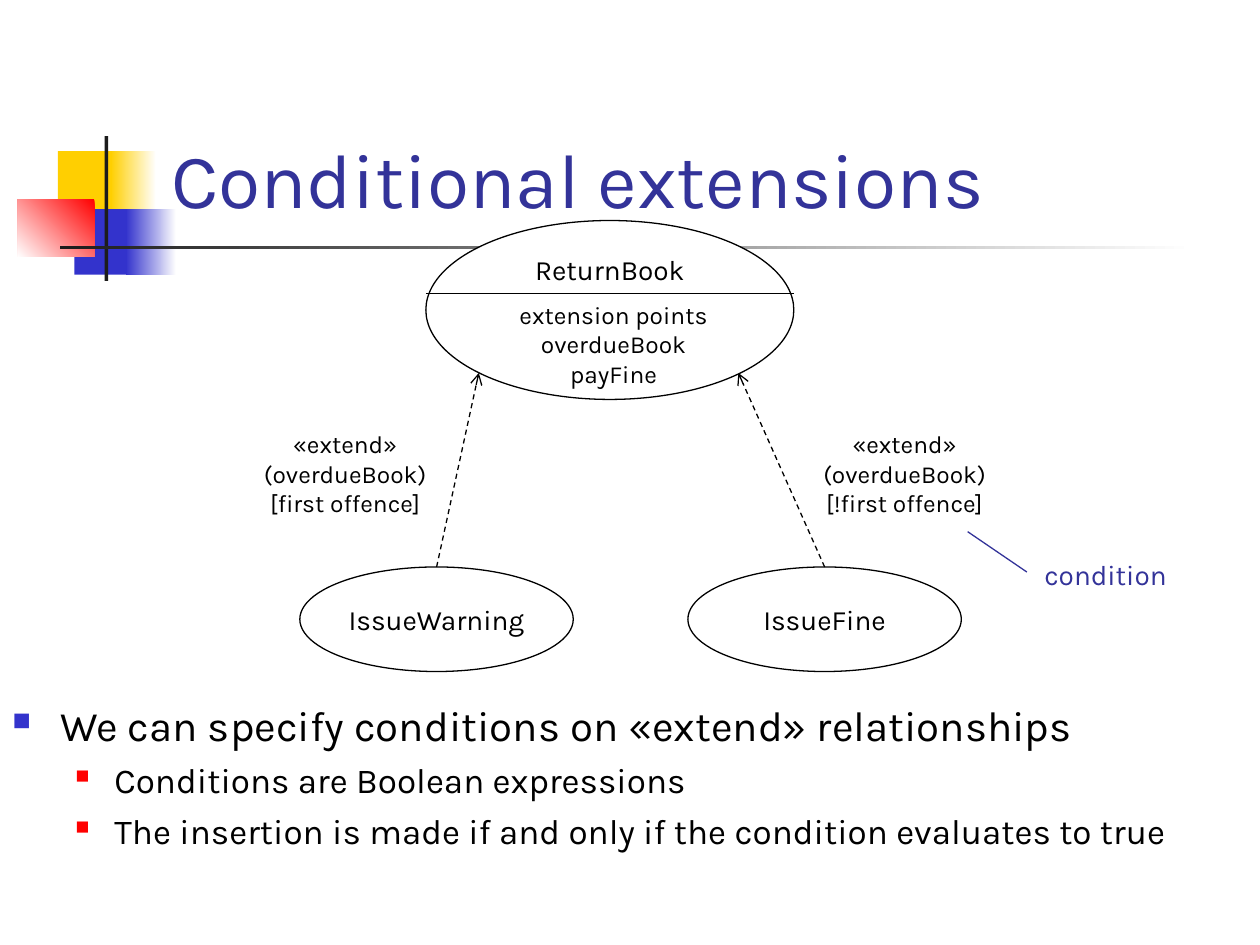
from lxml.etree import SubElement
from pptx import Presentation
from pptx.dml.color import RGBColor
from pptx.enum.dml import MSO_LINE
from pptx.enum.shapes import MSO_CONNECTOR, MSO_SHAPE
from pptx.enum.text import MSO_ANCHOR, PP_ALIGN
from pptx.oxml.ns import qn
from pptx.util import Inches, Pt

FONT = "Karla"
HUES = {
    "ink": "000000", "paper": "FFFFFF", "title": "333399", "gold": "FFCF01",
    "blue": "3333CC", "red": "FF0000", "bar": "1C1C1C",
}


def tint(name):
    """Return the named colour."""
    return RGBColor.from_string(HUES[name])


def write(shape, text, size=16, color="ink", align=PP_ALIGN.CENTER,
          anchor=MSO_ANCHOR.TOP, wrap=False):
    """Fill a shape with one formatted paragraph per line of text."""
    frame = shape.text_frame
    frame.word_wrap = wrap
    frame.vertical_anchor = anchor
    frame.text = text
    for para in frame.paragraphs:
        para.alignment = align
        para.font.size = Pt(size)
        para.font.name = FONT
        para.font.color.rgb = tint(color)
    return frame


def place(slide, box, fill, kind=MSO_SHAPE.RECTANGLE, edge=None):
    """Add a preset shape with a plain fill."""
    shape = slide.shapes.add_shape(kind, *map(Inches, box))
    shape.shadow.inherit = False
    shape.fill.solid()
    shape.fill.fore_color.rgb = tint(fill)
    if edge:
        shape.line.color.rgb = tint(edge)
        shape.line.width = Pt(0.75)
    else:
        shape.line.fill.background()
    return shape


def fade(slide, box, start, end, angle=180):
    """Add a rectangle that blends two colours."""
    fill = place(slide, box, start).fill
    fill.gradient()
    fill.gradient_angle = angle
    for stop, name in zip(fill.gradient_stops, (start, end)):
        stop.color.rgb = tint(name)


def label(slide, box, text, **style):
    """Add a text box."""
    shape = slide.shapes.add_textbox(*map(Inches, box))
    return write(shape, text, **style)


def link(slide, start, end, color="ink", arrow=False):
    """Add a line, or a dashed line with an open arrowhead."""
    line = slide.shapes.add_connector(
        MSO_CONNECTOR.STRAIGHT, *map(Inches, (*start, *end)))
    line.line.color.rgb = tint(color)
    line.line.width = Pt(0.75)
    if arrow:
        line.line.dash_style = MSO_LINE.DASH
        SubElement(line.line._get_or_add_ln(), qn("a:tailEnd"), type="arrow")
    SubElement(line._element.spPr, qn("a:effectLst"))


def motif(slide, left, top):
    """Draw the coloured squares and bars behind the title."""
    high = 0.52
    place(slide, (left + 0.32, top + 0.12, 0.48, high), "gold")
    fade(slide, (left + 0.74, top + 0.12, 0.36, high), "paper", "gold")
    place(slide, (left + 0.45, top + 0.58, 0.46, high), "blue")
    fade(slide, (left + 0.86, top + 0.58, 0.4, high), "paper", "blue")
    fade(slide, (left, top + 0.5, 0.61, 0.46), "red", "paper", 225)
    place(slide, (left + 0.69, top, 0.03, 1.15), "bar")
    fade(slide, (left + 0.34, top + 0.87, 9, 0.03), "paper", "bar")


def case(slide, box, name, anchor=MSO_ANCHOR.MIDDLE):
    """Draw a use case ellipse."""
    shape = place(slide, box, "paper", MSO_SHAPE.OVAL, "ink")
    write(shape, name, anchor=anchor)


def base(slide, left, top, wide, high):
    """Draw the extended use case and its extension points."""
    case(slide, (left, top, wide, high), "ReturnBook", MSO_ANCHOR.TOP)
    rule = top + 0.58
    link(slide, (left, rule), (left + wide, rule))
    label(slide, (left + 0.63, rule, 1.72, 0.8),
          "extension points\noverdueBook\npayFine", size=14)


def branch(slide, left, top, name, tip, note, test):
    """Draw an extending use case with its arrow and condition."""
    wide = 2.17
    case(slide, (left, top, wide, 0.83), name)
    link(slide, (left + wide / 2, top), tip, arrow=True)
    shape = place(slide, (note, top - 1.14, 1.54, 0.8), "paper")
    write(shape, f"«extend»\n(overdueBook)\n[{test}]", size=14)


def chart(slide, left, top):
    """Draw the use case diagram."""
    low, tip = top + 2.75, top + 1.21
    branch(slide, left + 3.08, low, "IssueFine", (left + 3.48, tip),
           left + 4.03, "!first offence")
    branch(slide, left, low, "IssueWarning", (left + 1.42, tip),
           left - 0.41, "first offence")
    base(slide, left + 1, top, 2.92, 1.42)
    label(slide, (left + 5.81, top + 2.63, 1.18, 0.37), "condition",
          color="title", align=PP_ALIGN.LEFT)
    link(slide, (left + 5.3, top + 2.47), (left + 5.77, top + 2.79), "title")


def mark(para, indent, hang, color, scale):
    """Give a paragraph a square bullet."""
    props = para._p.get_or_add_pPr()
    props.set("marL", str(Inches(indent)))
    props.set("indent", str(-Inches(hang)))
    hue = SubElement(props, qn("a:buClr"))
    SubElement(hue, qn("a:srgbClr"), val=HUES[color])
    SubElement(props, qn("a:buSzPct"), val=str(scale * 1000))
    SubElement(props, qn("a:buChar"), char="■")


def points(slide, box, head, items):
    """Write a bulleted statement and its details."""
    frame = label(slide, box, "\n".join([head, *items]), size=20,
                  align=PP_ALIGN.LEFT, wrap=True)
    first, *rest = frame.paragraphs
    first.font.size = Pt(24)
    first.space_before = Pt(6)
    mark(first, 0.38, 0.38, "blue", 60)
    for para in rest:
        para.level = 1
        para.space_before = Pt(5)
        mark(para, 0.81, 0.31, "red", 55)


def main():
    """Build and save the slide."""
    deck = Presentation()
    deck.slide_width, deck.slide_height = Inches(10), Inches(7.5)
    slide = deck.slides.add_slide(deck.slide_layouts[6])
    motif(slide, 0.14, 1.08)
    label(slide, (1.26, 0.23, 8.52, 1.6), "Conditional extensions", size=44,
          color="title", align=PP_ALIGN.LEFT, anchor=MSO_ANCHOR.BOTTOM,
          wrap=True)
    points(slide, (0, 5.5, 10, 1.4),
           "We can specify conditions on «extend» relationships",
           ["Conditions are Boolean expressions",
            "The insertion is made if and only if the condition evaluates to true"])
    chart(slide, 2.38, 1.75)
    deck.save("out.pptx")


if __name__ == "__main__":
    main()
